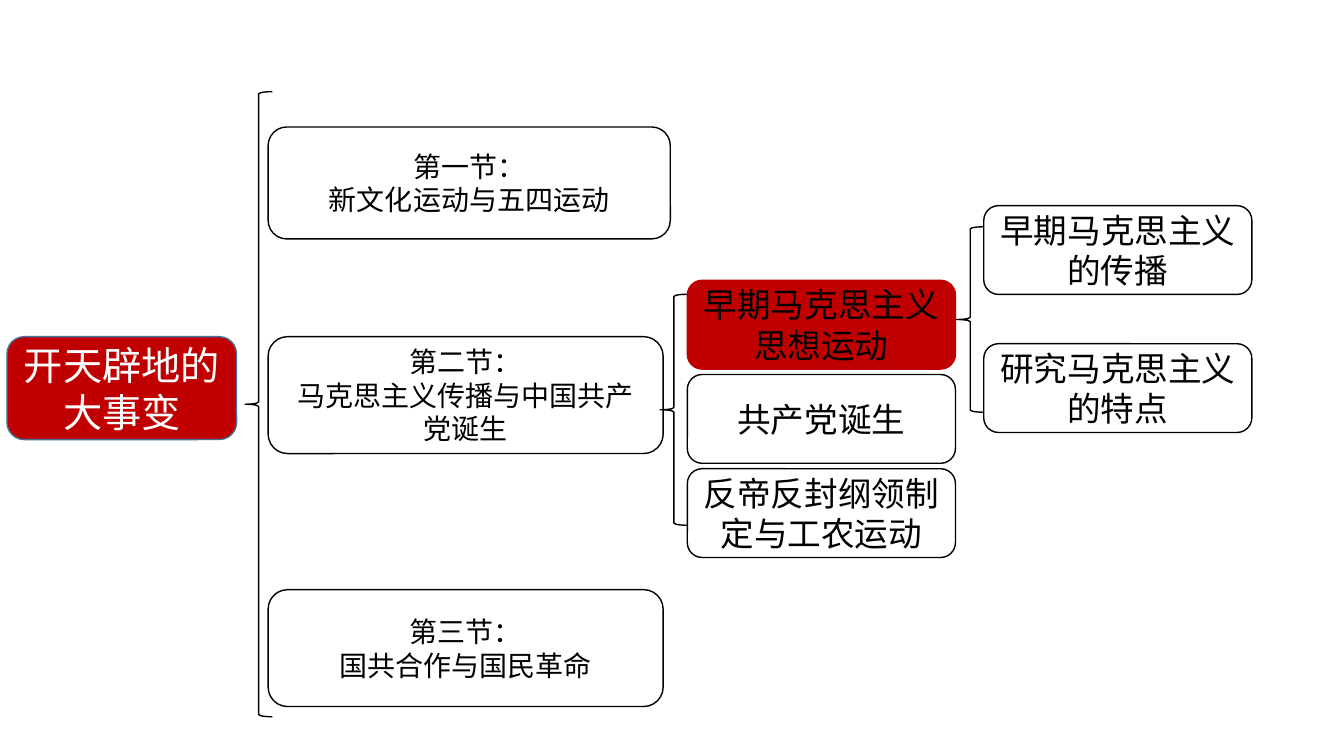
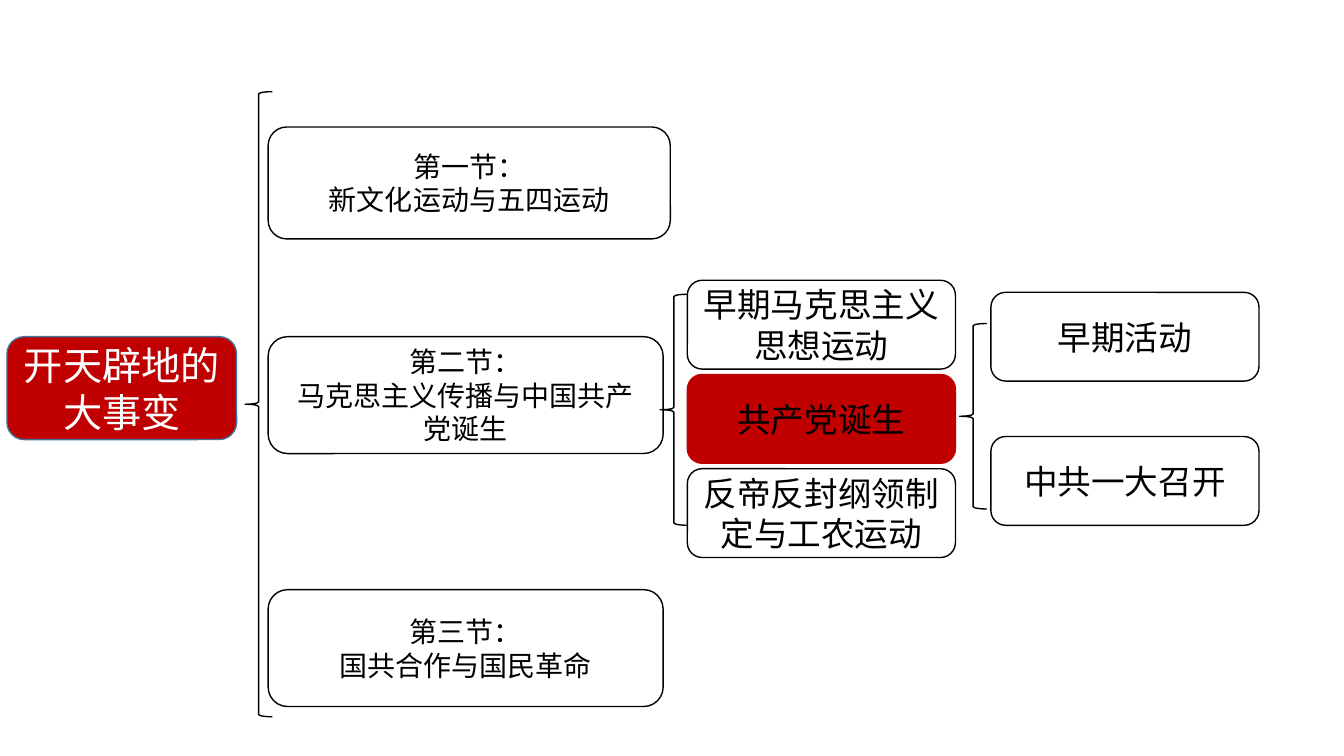
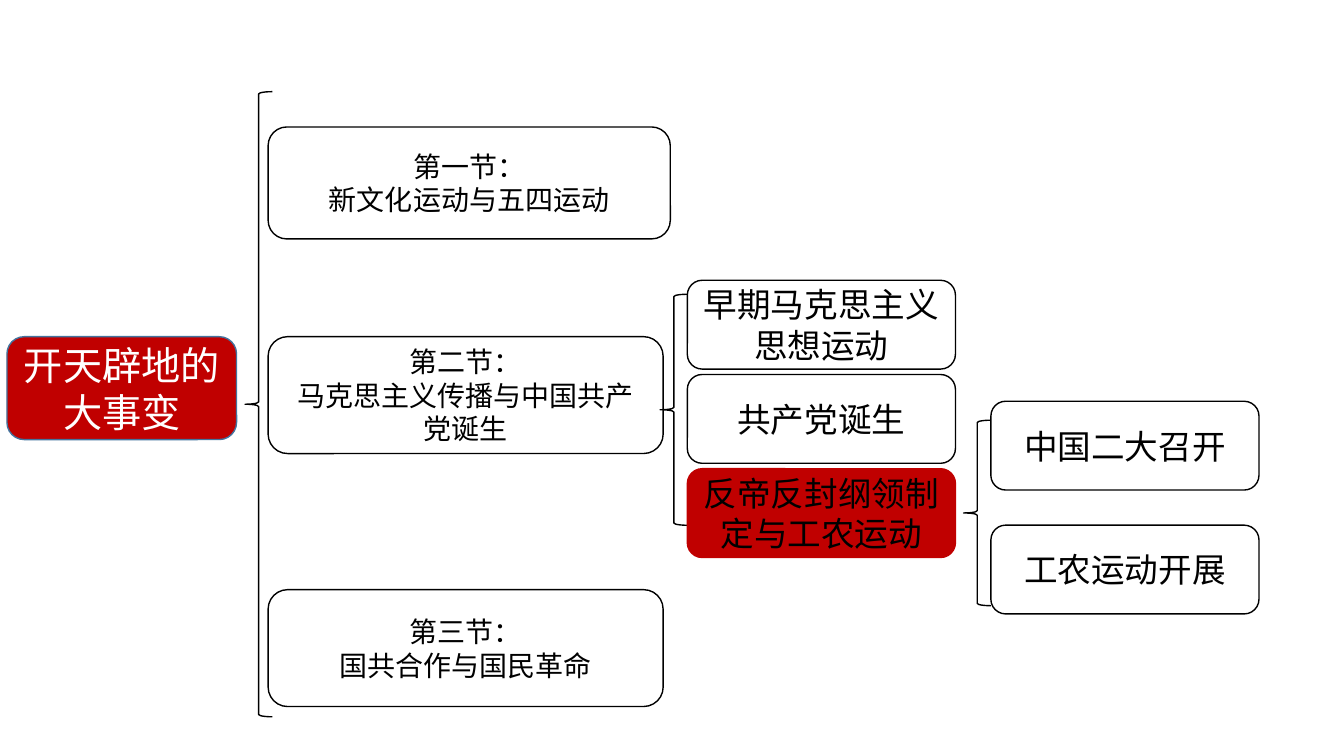
import dataclasses

import lxml.etree
import pptx
import pptx.dml.color
import pptx.enum.shapes
import pptx.enum.text
import pptx.oxml.ns
import pptx.util

Pt = pptx.util.Pt
SHAPES = pptx.enum.shapes.MSO_SHAPE


@dataclasses.dataclass(frozen=True)
class Theme:
    font: str = "Noto Sans CJK SC"
    red: str = "C00000"
    blue: str = "43739E"
    black: str = "000000"
    white: str = "FFFFFF"
    root_size: int = 28
    section_size: int = 20
    topic_size: int = 24
    line_width: int = 1


THEME = Theme()

ROOT = "开天辟地的大事变"
SECTIONS = [
    ("第一节：\n新文化运动与五四运动", 90.7, 287.3, 80),
    ("第二节：\n马克思主义传播与中国共产党诞生", 240.5, 282.2, 83.5),
    ("第三节：\n国共合作与国民革命", 421.2, 282.2, 83.5),
]
TOPICS = ["早期马克思主义思想运动", "共产党诞生", "反帝反封纲领制定与工农运动"]
DETAILS = [
    {"brace": (683.3, 162), "left": 702.7,
     "items": [("早期马克思主义的传播", 146.9), ("研究马克思主义的特点", 245.5)]},
    {"brace": (685.4, 231.1), "left": 707.8,
     "items": [("早期活动", 208.8), ("中共一大召开", 311.8)]},
    {"brace": (688.3, 300.2), "left": 707.8,
     "items": [("中国二大召开", 286.6), ("工农运动开展", 375.1)]},
]

SLIDE_SIZE = (960, 540)
ROOT_BOX = (5, 240.5, 164, 73.5)
BRACE_WIDTH = 19.5
SECTION_BRACE = (175, 65.5, BRACE_WIDTH, 446.5)
TOPIC_BRACE = (471.6, 210.2, BRACE_WIDTH, 165)
DETAIL_BRACE_HEIGHT = 132.5
SECTION_LEFT = 191.5
TOPIC_LEFT, TOPIC_TOP, TOPIC_STEP = 491, 200.2, 67.3
TOPIC_SIZE = (191.5, 63.4)


def color(value):
    return pptx.dml.color.RGBColor.from_string(value)


def add_outline(slide, kind, box, line=THEME.black, fill=None):
    shape = slide.shapes.add_shape(kind, *map(Pt, box))
    shape.shadow.inherit = False
    if fill:
        shape.fill.solid()
        shape.fill.fore_color.rgb = color(fill)
    else:
        shape.fill.background()
    shape.line.color.rgb = color(line)
    shape.line.width = Pt(THEME.line_width)
    return shape


def add_box(slide, text, box, size, text_color=THEME.black, line=THEME.black, fill=None):
    shape = add_outline(slide, SHAPES.ROUNDED_RECTANGLE, box, line, fill)
    frame = shape.text_frame
    frame.word_wrap = True
    frame.vertical_anchor = pptx.enum.text.MSO_ANCHOR.MIDDLE
    frame.text = text
    for paragraph in frame.paragraphs:
        paragraph.alignment = pptx.enum.text.PP_ALIGN.CENTER
        for run in paragraph.runs:
            run.font.size = Pt(size)
            run.font.color.rgb = color(text_color)
            run.font.name = THEME.font
            east_asian = lxml.etree.SubElement(
                run._r.get_or_add_rPr(), pptx.oxml.ns.qn("a:ea"))
            east_asian.set("typeface", THEME.font)


def add_brace(slide, box):
    add_outline(slide, SHAPES.LEFT_BRACE, box)


def add_overview(slide, active):
    add_box(slide, ROOT, ROOT_BOX, THEME.root_size, THEME.white, THEME.blue, THEME.red)
    add_brace(slide, SECTION_BRACE)
    for text, top, width, height in SECTIONS:
        add_box(slide, text, (SECTION_LEFT, top, width, height), THEME.section_size)
    add_brace(slide, TOPIC_BRACE)
    for index, text in enumerate(TOPICS):
        box = (TOPIC_LEFT, TOPIC_TOP + index * TOPIC_STEP, *TOPIC_SIZE)
        style = {"line": THEME.red, "fill": THEME.red} if index == active else {}
        add_box(slide, text, box, THEME.topic_size, **style)


def add_details(slide, detail):
    add_brace(slide, (*detail["brace"], BRACE_WIDTH, DETAIL_BRACE_HEIGHT))
    for text, top in detail["items"]:
        add_box(slide, text, (detail["left"], top, *TOPIC_SIZE), THEME.topic_size)


def main():
    presentation = pptx.Presentation()
    presentation.slide_width, presentation.slide_height = map(Pt, SLIDE_SIZE)
    blank_layout = presentation.slide_layouts[6]
    for active, detail in enumerate(DETAILS):
        slide = presentation.slides.add_slide(blank_layout)
        add_overview(slide, active)
        add_details(slide, detail)
    presentation.save("out.pptx")


if __name__ == "__main__":
    main()
